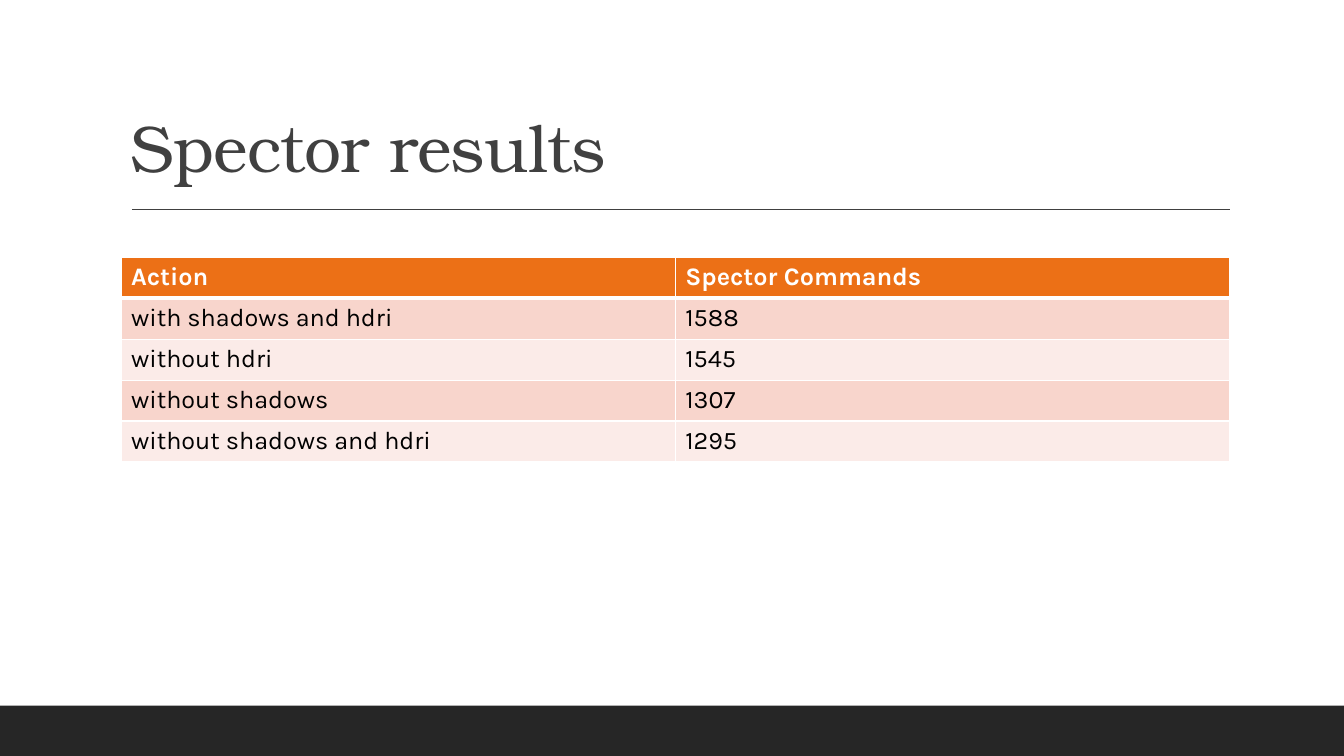
"""Build the slide with the table of Spector results."""
from lxml import etree
from pptx import Presentation
from pptx.dml.color import RGBColor
from pptx.enum.shapes import MSO_CONNECTOR, MSO_SHAPE
from pptx.enum.text import MSO_ANCHOR
from pptx.oxml.ns import qn
from pptx.util import Pt

STRAIGHT = MSO_CONNECTOR.STRAIGHT
RECTANGLE = MSO_SHAPE.RECTANGLE
BOTTOM = MSO_ANCHOR.BOTTOM
WHITE = RGBColor(0xFF, 0xFF, 0xFF)
BLACK = RGBColor(0x00, 0x00, 0x00)
CHARCOAL = RGBColor(0x26, 0x26, 0x26)
GRAY = RGBColor(0x40, 0x40, 0x40)
ORANGE = RGBColor(0xEC, 0x70, 0x16)
PINK = RGBColor(0xF8, 0xD5, 0xCC)
PALE_PINK = RGBColor(0xFB, 0xEB, 0xE8)

RESULTS = [
    ("Action", "Spector Commands"),
    ("with shadows and hdri", "1588"),
    ("without hdri", "1545"),
    ("without shadows", "1307"),
    ("without shadows and hdri", "1295"),
]


def add_border(cell, position, side, width):
    properties = cell._tc.get_or_add_tcPr()
    border = etree.Element(qn(f"a:ln{side}"), w=str(Pt(width)))
    fill = etree.SubElement(border, qn("a:solidFill"))
    etree.SubElement(fill, qn("a:srgbClr"), val=str(WHITE))
    properties.insert(position, border)


deck = Presentation()
deck.slide_width = Pt(960)
deck.slide_height = Pt(540)
page = deck.slides.add_slide(deck.slide_layouts[6])
page.background.fill.solid()
page.background.fill.fore_color.rgb = WHITE

footer = page.shapes.add_shape(RECTANGLE, Pt(0), Pt(504), Pt(960), Pt(36))
footer.shadow.inherit = False
footer.fill.solid()
footer.fill.fore_color.rgb = CHARCOAL
footer.line.fill.background()

rule = page.shapes.add_connector(STRAIGHT, Pt(94.3), Pt(149.5), Pt(878.9), Pt(149.5))
rule.line.color.rgb = GRAY
rule.line.width = Pt(1)
etree.SubElement(rule._element.spPr, qn("a:effectLst"))

title = page.shapes.add_textbox(Pt(86.4), Pt(22.6), Pt(792), Pt(114.2))
title.text_frame.word_wrap = True
title.text_frame.vertical_anchor = BOTTOM
para = title.text_frame.paragraphs[0]
para.line_spacing = 0.9
span = para.add_run()
span.text = "Spector results"
span.font.name = "TeX Gyre Bonum"
span.font.size = Pt(47)
span.font.color.rgb = GRAY
span.font._element.set("spc", "-50")

frame = page.shapes.add_table(len(RESULTS), 2, Pt(86.4), Pt(183.9), Pt(792), Pt(146))
table = frame.table
for row_index, values in enumerate(RESULTS):
    table.rows[row_index].height = Pt(29.2)
    is_header = row_index == 0
    band = PINK if row_index % 2 else PALE_PINK
    for column_index, value in enumerate(values):
        cell = table.cell(row_index, column_index)
        cell.text = value
        cell.fill.solid()
        cell.fill.fore_color.rgb = ORANGE if is_header else band
        para = cell.text_frame.paragraphs[0]
        para.font.name = "Karla"
        para.font.size = Pt(18)
        para.font.bold = is_header
        para.font.color.rgb = WHITE if is_header else BLACK
        for position, side in enumerate("LRTB"):
            below_header = (row_index, side) in ((0, "B"), (1, "T"))
            add_border(cell, position, side, 3 if below_header else 1)

deck.save("out.pptx")
